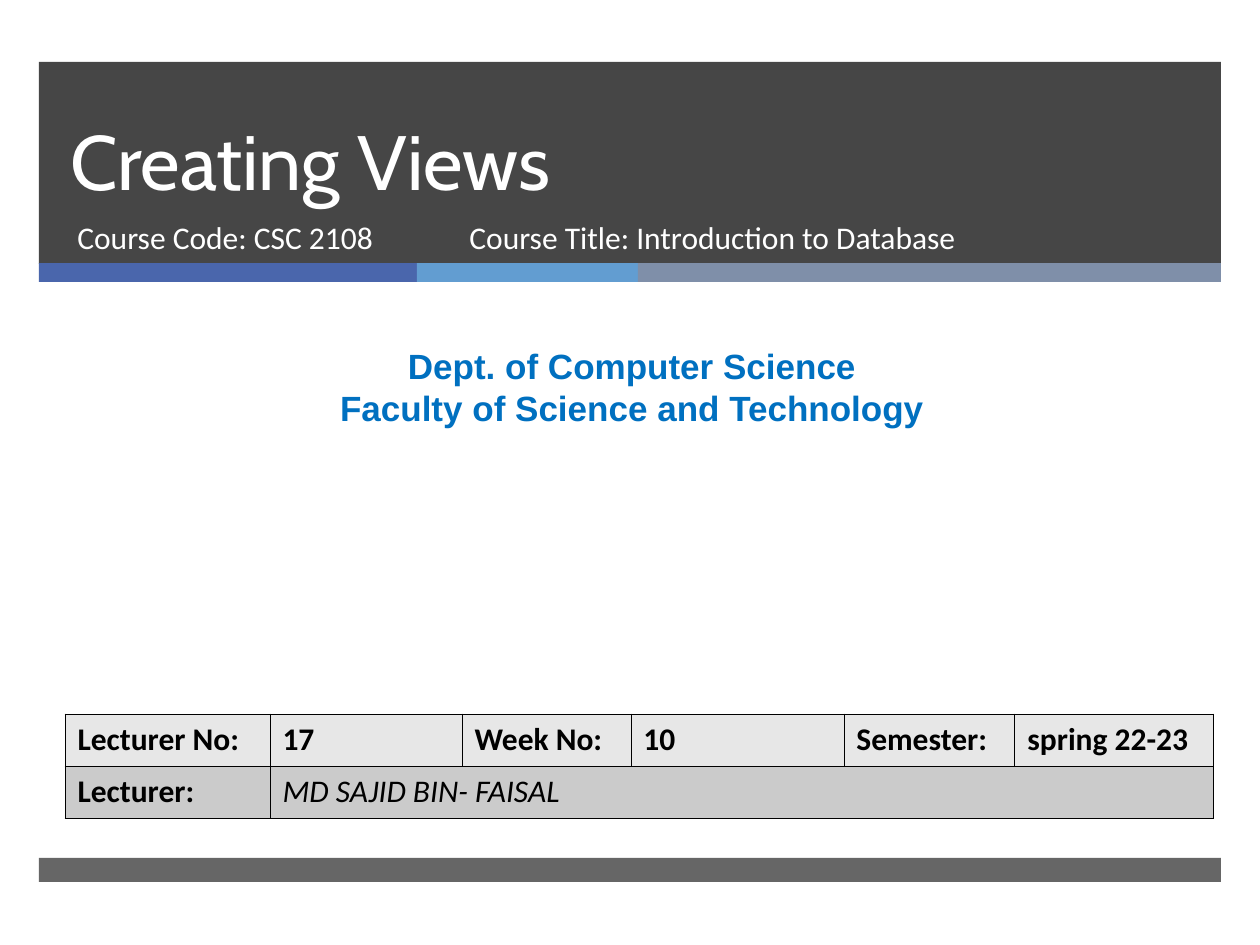
from lxml import etree
from pptx import Presentation
from pptx.dml.color import RGBColor
from pptx.enum.shapes import MSO_SHAPE
from pptx.enum.text import MSO_ANCHOR, PP_ALIGN
from pptx.oxml.ns import qn
from pptx.util import Emu, Pt

RECT = MSO_SHAPE.RECTANGLE
TOP, BOTTOM = MSO_ANCHOR.TOP, MSO_ANCHOR.BOTTOM
LEFT, CENTER = PP_ALIGN.LEFT, PP_ALIGN.CENTER

WHITE = RGBColor(0xFF, 0xFF, 0xFF)
BLACK = RGBColor(0x00, 0x00, 0x00)
DARK = RGBColor(0x26, 0x26, 0x26)
INDIGO = RGBColor(0x4A, 0x66, 0xAC)
SKY = RGBColor(0x62, 0x9D, 0xD1)
SLATE = RGBColor(0x7F, 0x8F, 0xA9)
BLUE = RGBColor(0x00, 0x70, 0xC0)
LIGHT_GRAY = RGBColor(0xE7, 0xE7, 0xE7)
MID_GRAY = RGBColor(0xCB, 0xCB, 0xCB)

PX = 914400 / 126


def px(*values):
    return [Emu(round(v * PX)) for v in values]


def add_run(p, text, font, size, color, bold=False, italic=False):
    r = p.add_run()
    r.text = text
    r.font.name = font
    r.font.size = Pt(size)
    r.font.color.rgb = color
    r.font.bold = bold
    r.font.italic = italic


prs = Presentation()
prs.slide_width, prs.slide_height = px(1260, 945)
s = prs.slides.add_slide(prs.slide_layouts[6])

bars = [
    (39, 62, 1182, 202, DARK, 85),
    (39, 263, 378, 19, INDIGO, 100),
    (417, 263, 221, 19, SKY, 100),
    (638, 263, 583, 19, SLATE, 100),
    (39, 858, 1182, 24, DARK, 70),
]
for x, y, w, h, color, opacity in bars:
    sp = s.shapes.add_shape(RECT, *px(x, y, w, h))
    sp.shadow.inherit = False
    sp.fill.solid()
    sp.fill.fore_color.rgb = color
    sp.line.fill.background()
    if opacity < 100:
        clr = sp._element.spPr.find(".//" + qn("a:srgbClr"))
        etree.SubElement(clr, qn("a:alpha"), val=str(opacity * 1000))

texts = [
    (58, 62, 1076, 150, ["Creating Views"], "Cabin", 44, WHITE, False, LEFT, BOTTOM, Pt(46)),
    (65, 212, 384, 67, ["Course Code: CSC 2108"], "Calibri", 18, WHITE, False, LEFT, TOP, None),
    (457, 212, 573, 67, ["Course Title: Introduction to Database"], "Calibri", 18, WHITE, False, LEFT, TOP, None),
    (10, 338, 1244, 97, ["Dept. of Computer Science", "Faculty of Science and Technology"],
     "Arial", 20, BLUE, True, CENTER, TOP, None),
]
for x, y, w, h, lines, font, size, color, bold, align, anchor, spacing in texts:
    tf = s.shapes.add_textbox(*px(x, y, w, h)).text_frame
    tf.word_wrap = True
    tf.vertical_anchor = anchor
    for i, line in enumerate(lines):
        p = tf.add_paragraph() if i else tf.paragraphs[0]
        p.alignment = align
        p.line_spacing = spacing
        add_run(p, line, font, size, color, bold)

rows = [
    ["Lecturer No:", "17", "Week No:", "10", "Semester:", "spring 22-23"],
    ["Lecturer:", "MD SAJID BIN- FAISAL"],
]
col_widths = px(205, 192, 169, 213, 171, 199)
table = s.shapes.add_table(2, 6, *px(65, 714, 1149, 104)).table
for col, width in zip(table.columns, col_widths):
    col.width = width
for row in table.rows:
    row.height = px(52)[0]
table.cell(1, 1).merge(table.cell(1, 5))

for i, fill in enumerate([LIGHT_GRAY, MID_GRAY]):
    for cell in table.rows[i].cells:
        cell.fill.solid()
        cell.fill.fore_color.rgb = fill
        tcPr = cell._tc.get_or_add_tcPr()
        for k, side in enumerate(["a:lnL", "a:lnR", "a:lnT", "a:lnB"]):
            ln = etree.Element(qn(side), w=str(Pt(0.45)))
            solid = etree.SubElement(ln, qn("a:solidFill"))
            etree.SubElement(solid, qn("a:srgbClr"), val=str(BLACK))
            tcPr.insert(k, ln)
    for j, text in enumerate(rows[i]):
        is_name = (i, j) == (1, 1)
        p = table.cell(i, j).text_frame.paragraphs[0]
        add_run(p, text, "Calibri", 18, BLACK, not is_name, is_name)

prs.save("out.pptx")
